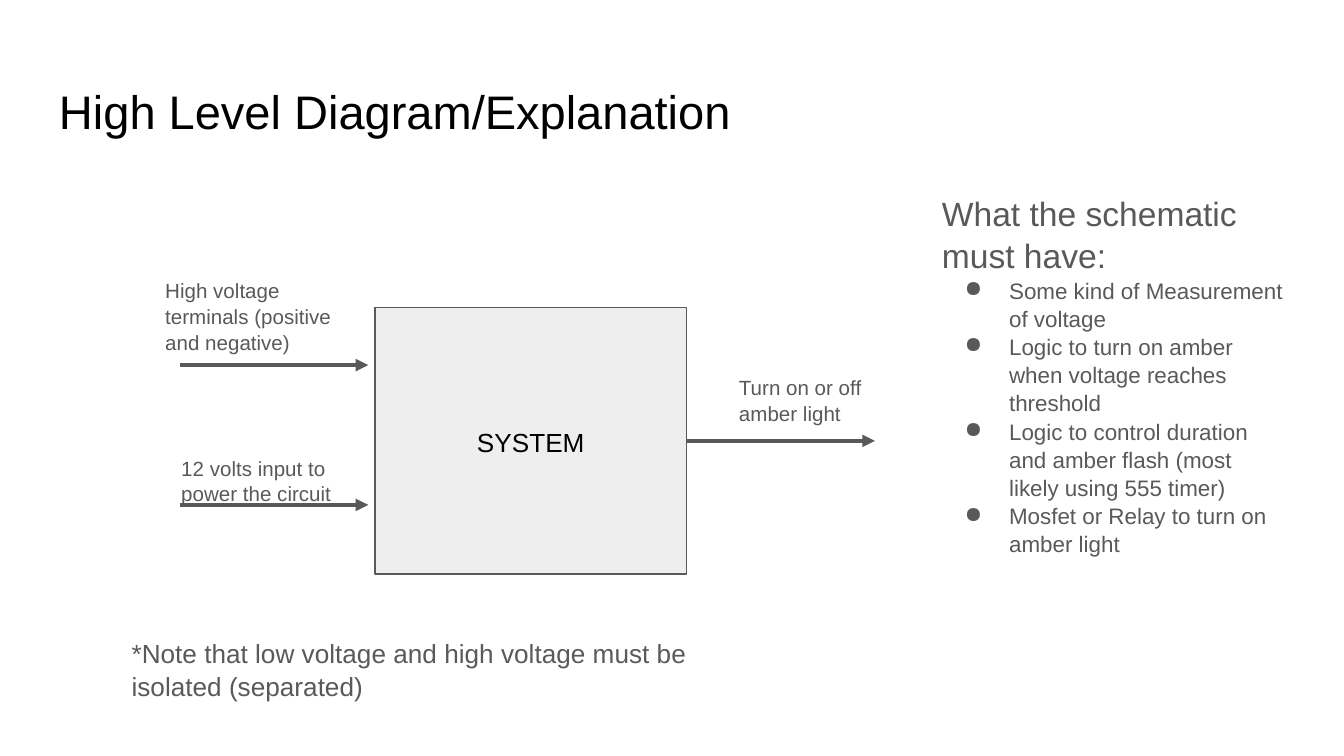
from lxml import etree
from pptx import Presentation
from pptx.dml.color import RGBColor
from pptx.enum.shapes import MSO_CONNECTOR, MSO_SHAPE
from pptx.enum.text import MSO_ANCHOR, PP_ALIGN
from pptx.oxml.ns import qn
from pptx.util import Pt

RECTANGLE = MSO_SHAPE.RECTANGLE
STRAIGHT = MSO_CONNECTOR.STRAIGHT
TOP, MIDDLE = MSO_ANCHOR.TOP, MSO_ANCHOR.MIDDLE
LEFT, CENTER = PP_ALIGN.LEFT, PP_ALIGN.CENTER
RIGHT_SIDE = 3

THEME = {
    "font": "Arial",
    "black": RGBColor(0, 0, 0),
    "gray": RGBColor(0x59, 0x59, 0x59),
    "box": RGBColor(0xEE, 0xEE, 0xEE),
    "title": 25.2, "heading": 18, "body": 14, "bullet": 12, "label": 11,
    "spacing": 1.05,
}

# Boxes are left, top, width, height in points
SYSTEM = ("SYSTEM", (200.9, 164.9, 167, 142.6))
TEXTS = [
    ("High Level Diagram/Explanation", (24.5, 35.3, 671, 45.4), "title", "black"),
    ("High voltage terminals (positive and negative)",
     (81.4, 141.1, 107.3, 49), "label", "gray"),
    ("12 volts input to power the circuit",
     (90, 236.2, 107.3, 34.6), "label", "gray"),
    ("*Note that low voltage and high voltage must be isolated (separated)",
     (63.4, 333.4, 325.4, 53.3), "body", "gray"),
    ("Turn on or off amber light", (388.8, 193, 93.6, 34.6), "label", "gray"),
]
REQUIREMENTS_BOX = (497.5, 95, 198, 280.1)
REQUIREMENTS_HEADING = "What the schematic must have:"
REQUIREMENTS = [
    "Some kind of Measurement of voltage",
    "Logic to turn on amber when voltage reaches threshold",
    "Logic to control duration and amber flash (most likely using 555 timer)",
    "Mosfet or Relay to turn on amber light",
]
INPUT_LEFT, INPUT_HEIGHTS = 96.5, (195.6, 270.5)
ARROW_LENGTH, ARROW_WIDTH = 100.8, 2.25
PADDING = 7.2
BULLET_INDENT, BULLET_HANG = 36, 23.8


def style(paragraph, size, color, align=LEFT):
    paragraph.alignment = align
    paragraph.line_spacing = THEME["spacing"]
    paragraph.font.name = THEME["font"]
    paragraph.font.size = Pt(THEME[size])
    paragraph.font.color.rgb = THEME[color]


def prepare(frame, anchor=TOP):
    """Set wrapping, equal padding and vertical anchor."""
    frame.word_wrap = True
    frame.vertical_anchor = anchor
    frame.margin_left = frame.margin_right = Pt(PADDING)
    frame.margin_top = frame.margin_bottom = Pt(PADDING)


def add_text(slide, text, box, size, color):
    frame = slide.shapes.add_textbox(*map(Pt, box)).text_frame
    prepare(frame)
    frame.text = text
    style(frame.paragraphs[0], size, color)
    return frame


def add_bullet(frame, text):
    paragraph = frame.add_paragraph()
    paragraph.text = text
    style(paragraph, "bullet", "gray")
    properties = paragraph._p.get_or_add_pPr()
    properties.set("marL", str(Pt(BULLET_INDENT)))
    properties.set("indent", str(-Pt(BULLET_HANG)))
    bullet = etree.Element(qn("a:buChar"), char="●")
    properties.find(qn("a:defRPr")).addprevious(bullet)


def add_system(slide):
    text, box = SYSTEM
    system = slide.shapes.add_shape(RECTANGLE, *map(Pt, box))
    system.shadow.inherit = False
    system.fill.solid()
    system.fill.fore_color.rgb = THEME["box"]
    system.line.color.rgb = THEME["gray"]
    system.line.width = Pt(0.75)
    prepare(system.text_frame, MIDDLE)
    system.text_frame.text = text
    style(system.text_frame.paragraphs[0], "body", "black", CENTER)
    return system


def add_arrow(slide, left, height):
    arrow = slide.shapes.add_connector(
        STRAIGHT, Pt(left), Pt(height), Pt(left + ARROW_LENGTH), Pt(height))
    arrow.line.color.rgb = THEME["gray"]
    arrow.line.width = Pt(ARROW_WIDTH)
    etree.SubElement(arrow.line._get_or_add_ln(), qn("a:tailEnd"), type="triangle")
    etree.SubElement(arrow._element.spPr, qn("a:effectLst"))
    return arrow


def main():
    deck = Presentation()
    deck.slide_width, deck.slide_height = Pt(720), Pt(405)
    slide = deck.slides.add_slide(deck.slide_layouts[6])

    system = add_system(slide)
    for height in INPUT_HEIGHTS:
        add_arrow(slide, INPUT_LEFT, height)
    left, top, width, height = SYSTEM[1]
    output = add_arrow(slide, left + width, top + height / 2)
    output.begin_connect(system, RIGHT_SIDE)

    for text in TEXTS:
        add_text(slide, *text)
    requirements = add_text(
        slide, REQUIREMENTS_HEADING, REQUIREMENTS_BOX, "heading", "gray")
    for requirement in REQUIREMENTS:
        add_bullet(requirements, requirement)

    deck.save("out.pptx")


if __name__ == "__main__":
    main()
